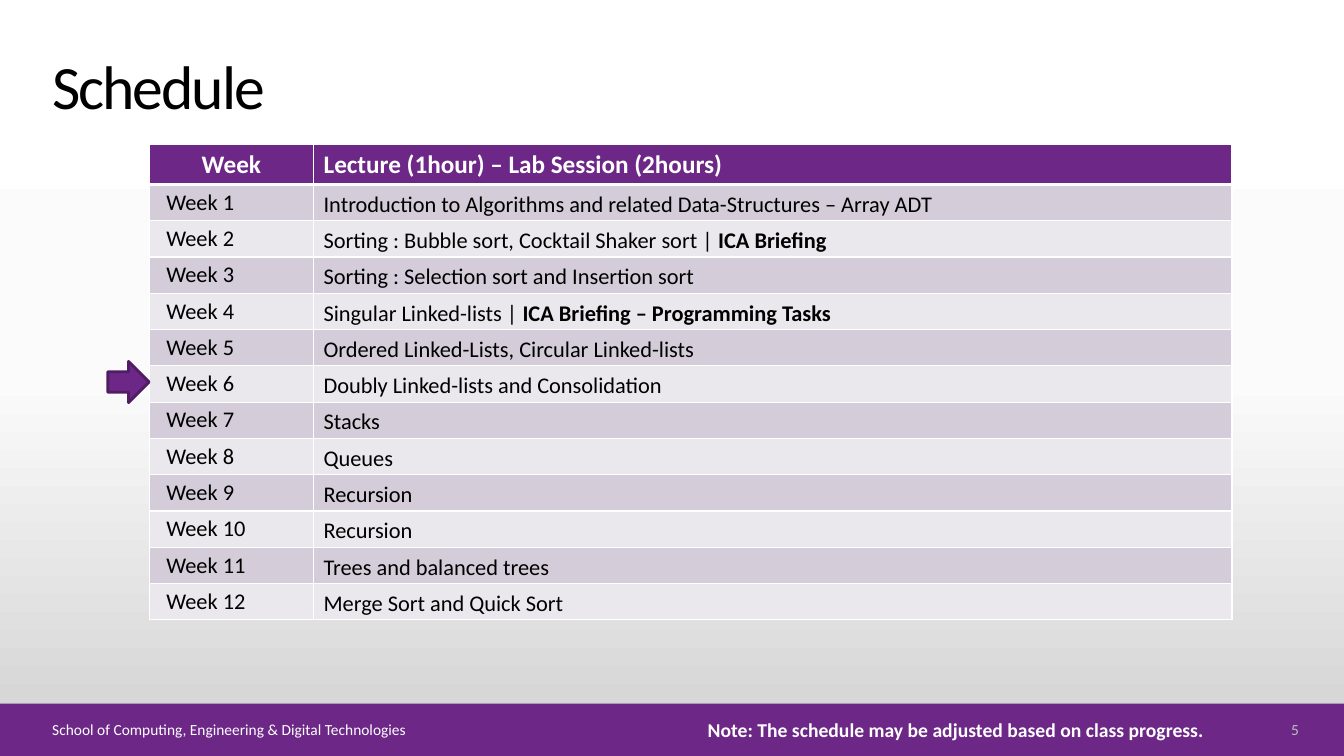
from copy import deepcopy

from lxml import etree
from pptx import Presentation
from pptx.dml.color import RGBColor
from pptx.enum import shapes, text
from pptx.oxml.ns import qn
from pptx.util import Inches, Pt

PURPLE = RGBColor(0x6C, 0x27, 0x87)
DARK_PURPLE = RGBColor(0x50, 0x1D, 0x64)
ODD_ROW = RGBColor(0xD4, 0xCD, 0xD9)
EVEN_ROW = RGBColor(0xEB, 0xE8, 0xED)
WHITE = RGBColor(0xFF, 0xFF, 0xFF)
BLACK = RGBColor(0, 0, 0)
GREY = RGBColor(0xBF, 0xBF, 0xBF)
BACKGROUND = [(0, WHITE), (0.5, RGBColor(0xFB, 0xFB, 0xFB)), (1, RGBColor(0xD1, 0xD1, 0xD1))]

HEADER = ("Week", "Lecture (1hour) – Lab Session (2hours)")
# Plain part and bold part of each week's lecture
LECTURES = [
    ("Introduction to Algorithms and related Data-Structures – Array ADT", ""),
    ("Sorting : Bubble sort, Cocktail Shaker sort | ", "ICA Briefing"),
    ("Sorting : Selection sort and Insertion sort", ""),
    ("Singular Linked-lists | ", "ICA Briefing – Programming Tasks"),
    ("Ordered Linked-Lists, Circular Linked-lists", ""),
    ("Doubly Linked-lists and Consolidation", ""),
    ("Stacks", ""),
    ("Queues", ""),
    ("Recursion", ""),
    ("Recursion", ""),
    ("Trees and balanced trees", ""),
    ("Merge Sort and Quick Sort", ""),
]
CURRENT_WEEK = 6
HEADER_HEIGHT, ROW_HEIGHT = 0.4, 0.36
WEEK_WIDTH = 1.63


def write(frame, words, size=16, color=BLACK, bold=False, align=text.PP_ALIGN.LEFT,
          line_spacing=None, spacing=None, bold_tail=""):
    """Fill the first paragraph of a text frame, with an optional bold ending."""
    paragraph = frame.paragraphs[0]
    paragraph.alignment = align
    if line_spacing:
        paragraph.line_spacing = line_spacing
    for part, is_bold in ((words, bold), (bold_tail, True)):
        if not part:
            continue
        run = paragraph.add_run()
        run.text = part
        run.font.name = "Calibri"
        run.font.size = Pt(size)
        run.font.bold = is_bold
        run.font.color.rgb = color
        if spacing is not None:
            run.font._element.set("spc", str(int(spacing * 100)))


def add_text(slide, box, words, wrap=True, anchor=text.MSO_ANCHOR.MIDDLE, **style):
    frame = slide.shapes.add_textbox(*map(Inches, box)).text_frame
    frame.word_wrap = wrap
    frame.vertical_anchor = anchor
    write(frame, words, **style)


def add_shape(slide, kind, box, line=None):
    shape = slide.shapes.add_shape(kind, *map(Inches, box))
    shape.shadow.inherit = False
    shape.fill.solid()
    shape.fill.fore_color.rgb = PURPLE
    if line:
        shape.line.color.rgb = line
        shape.line.width = Pt(2)
    else:
        shape.line.fill.background()


def set_background(slide):
    fill = slide.background.fill
    fill.gradient()
    fill.gradient_angle = 270
    stops = slide.element.find(".//" + qn("a:gsLst"))
    stops.insert(1, deepcopy(stops[0]))
    for stop, (position, color) in zip(fill.gradient_stops, BACKGROUND):
        stop.position = position
        stop.color.rgb = color


def add_title(slide, box, words):
    title = slide.shapes.title
    title.left, title.top, title.width, title.height = map(Inches, box)
    title.text_frame.vertical_anchor = text.MSO_ANCHOR.BOTTOM
    title.text_frame.auto_size = text.MSO_AUTO_SIZE.NONE
    write(title.text_frame, words, size=44, line_spacing=0.9, spacing=-1.5)


def format_cell(cell, fill, bottom=1):
    """Give a cell white borders and a solid fill."""
    properties = cell._tc.get_or_add_tcPr()
    for side, width in (("L", 1), ("R", 1), ("T", 1), ("B", bottom)):
        line = etree.SubElement(properties, qn("a:ln" + side), w=str(Pt(width)))
        solid = etree.SubElement(line, qn("a:solidFill"))
        etree.SubElement(solid, qn("a:srgbClr"), val=str(WHITE))
    cell.fill.solid()
    cell.fill.fore_color.rgb = fill


def add_schedule(slide, box):
    left, top, width, height = box
    table = slide.shapes.add_table(len(LECTURES) + 1, 2, *map(Inches, box)).table
    table.columns[0].width = Inches(WEEK_WIDTH)
    table.columns[1].width = Inches(width - WEEK_WIDTH)

    # Header row
    table.rows[0].height = Inches(HEADER_HEIGHT)
    for column, words in enumerate(HEADER):
        cell = table.cell(0, column)
        format_cell(cell, PURPLE, bottom=3)
        write(cell.text_frame, words, size=18, color=WHITE, bold=True,
              align=text.PP_ALIGN.LEFT if column else text.PP_ALIGN.CENTER)

    # One row per week
    for week, (lecture, bold_tail) in enumerate(LECTURES, 1):
        table.rows[week].height = Inches(ROW_HEIGHT)
        cells = table.cell(week, 0), table.cell(week, 1)
        for cell, indent in zip(cells, (0.17, 0.1)):
            format_cell(cell, ODD_ROW if week % 2 else EVEN_ROW)
            cell.vertical_anchor = text.MSO_ANCHOR.MIDDLE
            cell.margin_left = Inches(indent)
            cell.margin_right = cell.margin_top = cell.margin_bottom = 0
        write(cells[0].text_frame, f"Week {week}")
        write(cells[1].text_frame, lecture, line_spacing=1.15, bold_tail=bold_tail)

    # Arrow at the current week
    size = 0.41
    middle = top + HEADER_HEIGHT + (CURRENT_WEEK - 0.5) * ROW_HEIGHT
    add_shape(slide, shapes.MSO_SHAPE.RIGHT_ARROW,
              (left - size, middle - size / 2 - 0.02, size, size), line=DARK_PURPLE)


def add_footer(slide, box):
    left, top, width, height = box
    add_shape(slide, shapes.MSO_SHAPE.RECTANGLE, box)
    add_text(slide, (left + 0.42, top + 0.14, 6, 0.23),
             "School of Computing, Engineering & Digital Technologies", size=11, color=WHITE)
    add_text(slide, (left + 12.23, top + 0.14, 0.75, 0.23), "5",
             size=11, color=GREY, align=text.PP_ALIGN.RIGHT)
    add_text(slide, (left + 6.92, top + 0.09, 5.15, 0.34),
             "Note: The schedule may be adjusted based on class progress.",
             wrap=False, anchor=text.MSO_ANCHOR.TOP, size=14, color=WHITE, bold=True)


def main():
    presentation = Presentation()
    presentation.slide_width = Inches(13.33)
    presentation.slide_height = Inches(7.5)
    slide = presentation.slides.add_slide(presentation.slide_layouts[5])
    set_background(slide)
    add_footer(slide, (0, 6.98, 13.33, 0.52))
    add_title(slide, (0.42, 0.4, 10.4, 0.87), "Schedule")
    add_schedule(slide, (1.48, 1.43, 10.74, 4.72))
    presentation.save("out.pptx")


if __name__ == "__main__":
    main()
